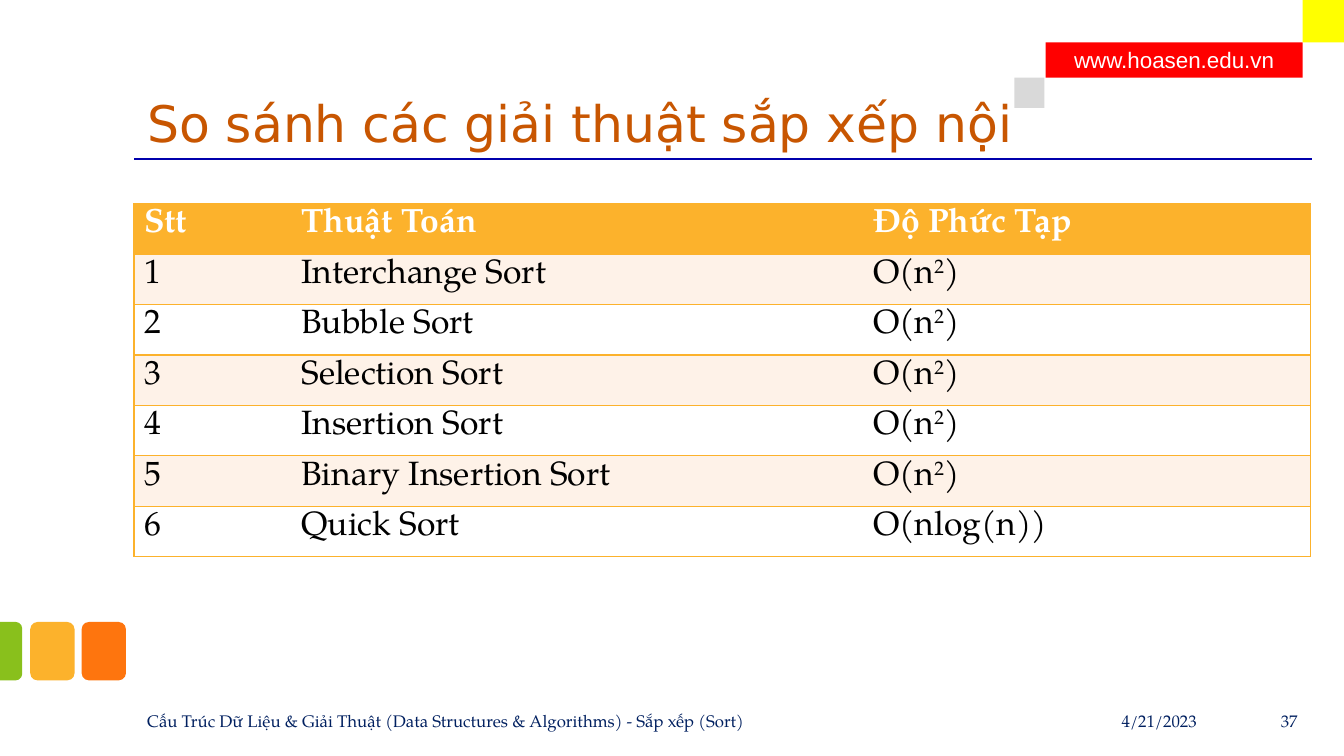
from lxml.etree import SubElement
from pptx import Presentation
from pptx.dml.color import RGBColor
from pptx.enum.shapes import MSO_CONNECTOR, MSO_SHAPE
from pptx.enum.text import MSO_ANCHOR, PP_ALIGN
from pptx.oxml.ns import qn
from pptx.util import Inches, Pt

COLORS = {
    "red": "FF0000", "gray": "D9D9D9", "yellow": "FFFF00",
    "orange": "FE750E", "amber": "FCB22C", "green": "89C01C",
    "rule": "0000AC", "title": "C85601", "navy": "002060",
    "cream": "FEF2E8", "white": "FFFFFF", "black": "000000",
}
SERIF = "TeX Gyre Pagella"
HEADINGS = ("Stt", "Thuật Toán", "Độ Phức Tạp")
ALGORITHMS = (
    ("Interchange Sort", "O(n^2)"),
    ("Bubble Sort", "O(n^2)"),
    ("Selection Sort", "O(n^2)"),
    ("Insertion Sort", "O(n^2)"),
    ("Binary Insertion Sort", "O(n^2)"),
    ("Quick Sort", "O(nlog(n))"),
)


def rgb(name):
    return RGBColor.from_string(COLORS[name])


def style(span, size, font, color, bold=False):
    span.font.size = Pt(size)
    span.font.name = font
    span.font.color.rgb = rgb(color)
    span.font.bold = bold


def add_block(page, kind, left, top, width, height, color):
    block = page.shapes.add_shape(
        kind, Inches(left), Inches(top), Inches(width), Inches(height))
    block.shadow.inherit = False
    block.fill.solid()
    block.fill.fore_color.rgb = rgb(color)
    block.line.fill.background()
    return block


def add_label(page, left, top, width, height, text, size, font, color,
              align=PP_ALIGN.LEFT, anchor=MSO_ANCHOR.MIDDLE):
    box = page.shapes.add_textbox(
        Inches(left), Inches(top), Inches(width), Inches(height))
    frame = box.text_frame
    frame.word_wrap = True
    frame.vertical_anchor = anchor
    frame.margin_left = frame.margin_right = Inches(0.13)
    frame.margin_top = frame.margin_bottom = Inches(0.07)
    frame.text = text
    para = frame.paragraphs[0]
    para.alignment = align
    style(para.runs[0], size, font, color)


def add_banner(page, left, top, width, height):
    banner = add_block(page, MSO_SHAPE.RECTANGLE, left, top, width, height, "red")
    frame = banner.text_frame
    frame.vertical_anchor = MSO_ANCHOR.MIDDLE
    frame.text = "www.hoasen.edu.vn"
    para = frame.paragraphs[0]
    para.alignment = PP_ALIGN.CENTER
    style(para.runs[0], 16, "Arial", "white")
    add_block(page, MSO_SHAPE.RECTANGLE, left - 0.31, top + height, 0.3, 0.3, "gray")
    add_block(page, MSO_SHAPE.RECTANGLE, left + width, 0, 0.42, top, "yellow")


def add_side_tiles(page, left, top, width, height):
    for position, color in ((0.81, "orange"), (0.3, "amber")):
        add_block(page, MSO_SHAPE.ROUNDED_RECTANGLE,
                  left + position, top, width, height, color)
    half = width / 2
    tile = add_block(page, MSO_SHAPE.ROUND_2_SAME_RECTANGLE,
                     left + (half - height) / 2, top + (height - half) / 2,
                     height, half, "green")
    tile.adjustments[0] = 0.29
    tile.adjustments[1] = 0
    tile.rotation = 90


def add_heading(page, left, top, width, height):
    rule = page.shapes.add_connector(
        MSO_CONNECTOR.STRAIGHT, Inches(left), Inches(top + height),
        Inches(left + width), Inches(top + height))
    rule.line.color.rgb = rgb("rule")
    rule.line.width = Pt(1.5)
    SubElement(rule._element.spPr, qn("a:effectLst"))
    add_label(page, left, top, width, height, "So sánh các giải thuật sắp xếp nội",
              36, "DejaVu Sans", "title", anchor=MSO_ANCHOR.BOTTOM)


def set_borders(cell, sides):
    properties = cell._tc.get_or_add_tcPr()
    for side in "LRTB":
        line = SubElement(properties, qn(f"a:ln{side}"), w=str(Pt(1)))
        if side in sides:
            fill = SubElement(line, qn("a:solidFill"))
            SubElement(fill, qn("a:srgbClr"), val=COLORS["amber"])
        else:
            SubElement(line, qn("a:noFill"))


def fill_cell(cell, text, fill, color, bold, sides):
    set_borders(cell, sides)
    cell.fill.solid()
    cell.fill.fore_color.rgb = rgb(fill)
    para = cell.text_frame.paragraphs[0]
    base, caret, power = text.partition("^")
    para.text = base
    if caret:
        para.add_run().text = power[0]
        para.add_run().text = power[1:]
        para.runs[1]._r.get_or_add_rPr().set("baseline", "30000")
    for span in para.runs:
        style(span, 24, SERIF, color, bold)


def add_comparison(page, left, top, width, height):
    rows = [HEADINGS] + [(str(number), *entry)
                         for number, entry in enumerate(ALGORITHMS, 1)]
    table = page.shapes.add_table(
        len(rows), len(HEADINGS), Inches(left), Inches(top),
        Inches(width), Inches(height)).table
    for column, column_width in zip(table.columns, (1.56, 5.67, 4.44)):
        column.width = Inches(column_width)
    for row_index, row in enumerate(rows):
        header = row_index == 0
        fill = "amber" if header else "cream" if row_index % 2 else "white"
        for column_index, text in enumerate(row):
            sides = ("LTB", "TB", "RTB")[column_index]
            fill_cell(table.cell(row_index, column_index), text, fill,
                      "white" if header else "black", header, sides)


def add_footer(page, left, top, width, height):
    footer = "Cấu Trúc Dữ Liệu & Giải Thuật (Data Structures & Algorithms) - Sắp xếp (Sort)"
    right = left + width
    for start, span_width, text, align in (
            (left, 9.07, footer, PP_ALIGN.LEFT),
            (right - 2.56, 1.56, "4/21/2023", PP_ALIGN.RIGHT),
            (right - 0.89, 0.89, "37", PP_ALIGN.RIGHT)):
        add_label(page, start, top, span_width, height, text, 12, SERIF, "navy", align)


def main():
    deck = Presentation()
    deck.slide_width = Inches(13.33)
    deck.slide_height = Inches(7.5)
    page = deck.slides.add_slide(deck.slide_layouts[6])
    add_banner(page, 10.37, 0.42, 2.55, 0.35)
    add_side_tiles(page, 0, 6.17, 0.44, 0.58)
    add_heading(page, 1.33, 0.17, 11.68, 1.41)
    add_comparison(page, 1.33, 2.02, 11.67, 3.5)
    add_footer(page, 1.33, 7.05, 11.67, 0.2)
    deck.save("out.pptx")


if __name__ == "__main__":
    main()
